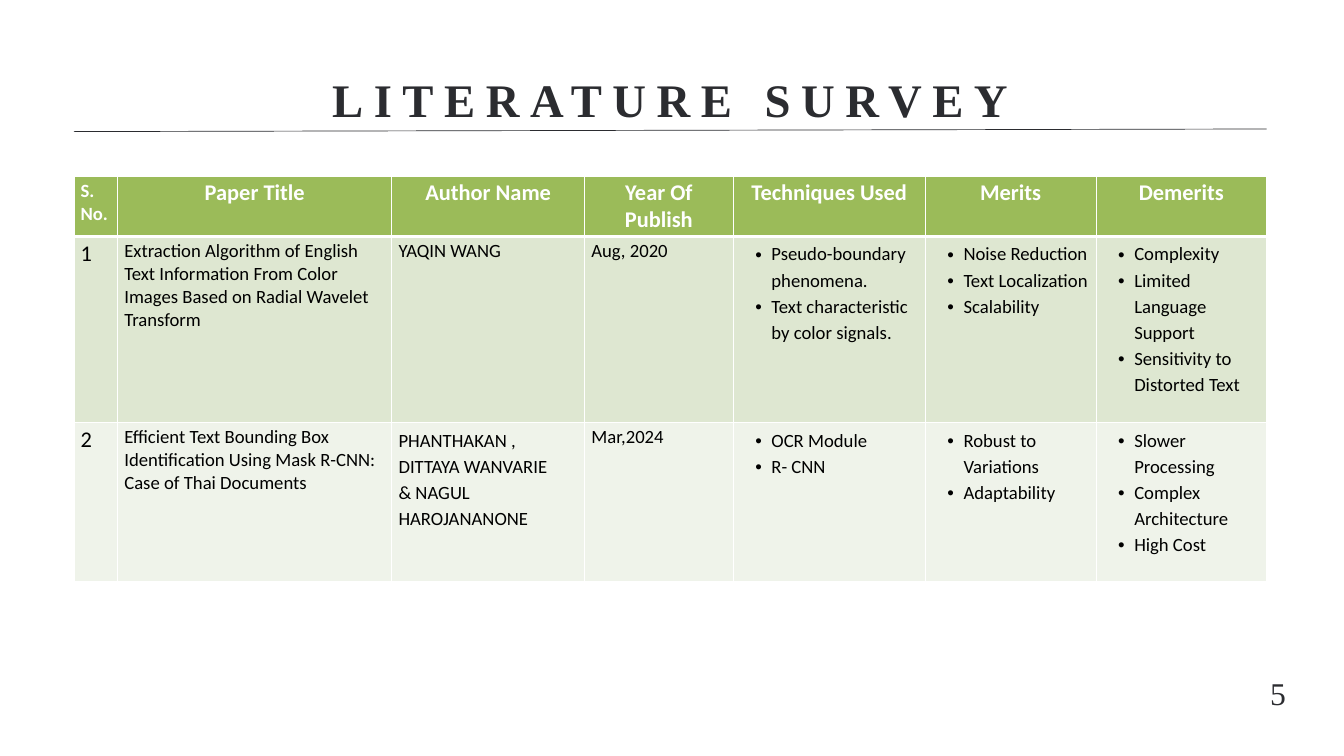
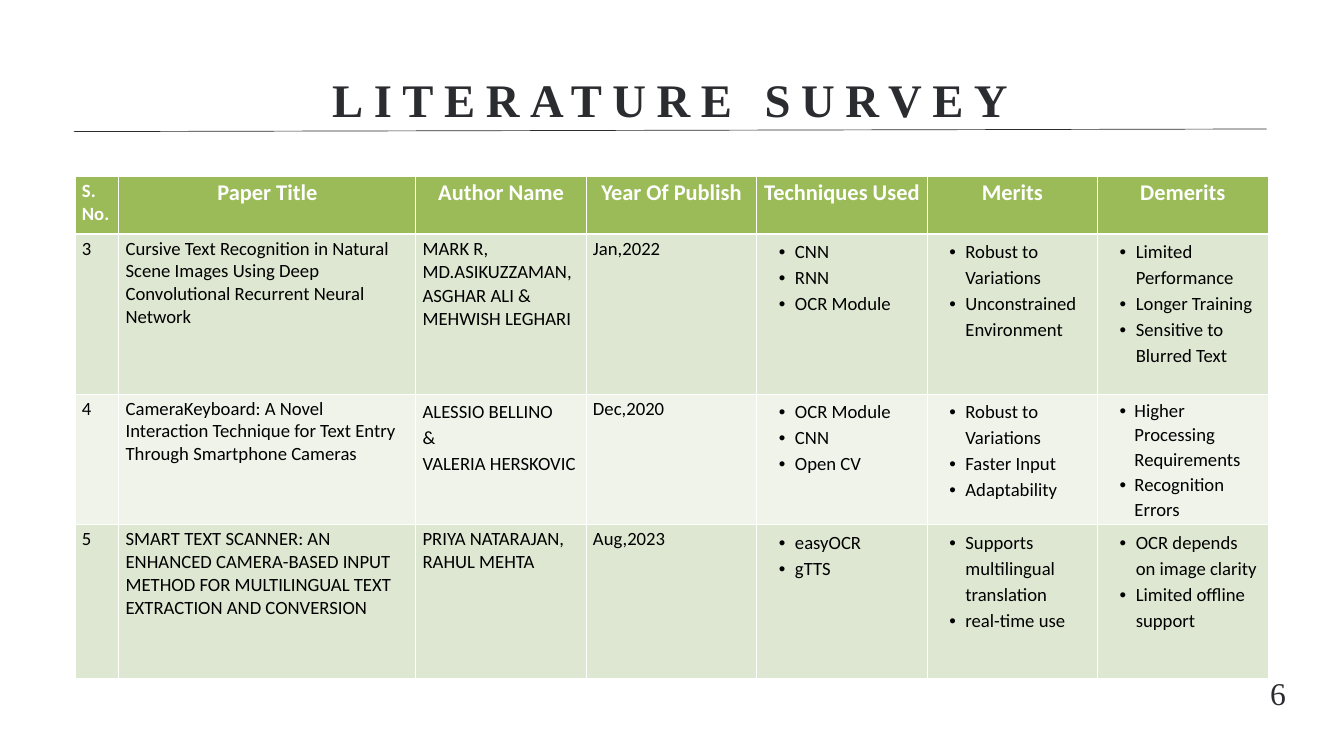
"""Build the two literature survey slides."""
from dataclasses import dataclass
from typing import Any

import lxml.etree
import pptx
import pptx.dml.color
import pptx.enum.shapes
import pptx.enum.text
import pptx.oxml.ns
import pptx.util

Pt = pptx.util.Pt
RGBColor = pptx.dml.color.RGBColor
ALIGN = pptx.enum.text.PP_ALIGN
qn = pptx.oxml.ns.qn

INK = RGBColor(0x2B, 0x2C, 0x30)
BLACK = RGBColor(0x00, 0x00, 0x00)
WHITE = RGBColor(0xFF, 0xFF, 0xFF)
GREEN = RGBColor(0x9B, 0xBB, 0x59)
BANDS = (RGBColor(0xDE, 0xE7, 0xD1), RGBColor(0xEF, 0xF3, 0xEA))
SERIF = "Times New Roman"
SANS = "Calibri"
HEADS = ("S.\nNo.", "Paper Title", "Author Name", "Year Of Publish",
         "Techniques Used", "Merits", "Demerits")
LEFT, WIDTH = 79.2, 1278


@dataclass(frozen=True)
class Paper:
    """One row of the survey, with a line for each paragraph."""

    title: str
    author: str
    year: str
    tools: str
    merits: str
    faults: str
    height: float
    lead: float | None = None
    tight: bool = False


@dataclass(frozen=True)
class Page:
    """One slide of the survey."""

    number: int
    first: int
    left: float
    widths: tuple[float, ...]
    head: float
    size: float
    papers: tuple[Paper, ...]


PAGES = (
    Page(5, 1, 79.2, (46.8, 293.8, 206.6, 159.1, 205.9, 182.9, 182.9), 64, 24, (
        Paper("Extraction Algorithm of English Text Information From Color "
              "Images Based on Radial Wavelet Transform",
              "YAQIN WANG", "Aug, 2020",
              "Pseudo-boundary phenomena.\nText characteristic by color signals.",
              "Noise Reduction\nText Localization\nScalability",
              "Complexity\nLimited Language Support\nSensitivity to Distorted Text",
              199.5),
        Paper("Efficient Text Bounding Box Identification Using Mask R-CNN: "
              "Case of Thai Documents",
              "PHANTHAKAN ,\nDITTAYA WANVARIE\n& NAGUL HAROJANANONE", "Mar,2024",
              "OCR Module\nR- CNN",
              "Robust to Variations\nAdaptability",
              "Slower Processing\nComplex Architecture\nHigh Cost",
              170.5, lead=28),
    )),
    Page(6, 3, 80.6, (46.8, 318.2) + (182.6,) * 5, 62, 20, (
        Paper("Cursive Text Recognition in Natural Scene Images Using Deep "
              "Convolutional Recurrent Neural Network",
              "MARK R,\nMD.ASIKUZZAMAN,\nASGHAR ALI &\nMEHWISH LEGHARI", "Jan,2022",
              "CNN\nRNN\nOCR Module",
              "Robust to Variations\nUnconstrained Environment",
              "Limited Performance\nLonger Training\nSensitive to Blurred Text",
              171.5, lead=25),
        Paper("CameraKeyboard: A Novel Interaction Technique for Text Entry "
              "Through Smartphone Cameras",
              "ALESSIO BELLINO\n&\nVALERIA HERSKOVIC", "Dec,2020",
              "OCR Module\nCNN\nOpen CV",
              "Robust to Variations\nFaster Input\nAdaptability",
              "Higher Processing Requirements\nRecognition Errors",
              139.5, lead=28, tight=True),
        Paper("SMART TEXT SCANNER: AN ENHANCED CAMERA-BASED INPUT\n"
              "METHOD FOR MULTILINGUAL TEXT EXTRACTION AND CONVERSION",
              "PRIYA NATARAJAN, RAHUL MEHTA", "Aug,2023",
              "easyOCR\ngTTS",
              "Supports multilingual translation\nreal-time use",
              "OCR depends on image clarity\nLimited offline support",
              165),
    )),
)


def write(frame: Any, text: str, *, size: float = 20, color: RGBColor = BLACK,
          font: str = SANS, bold: bool = False, align: Any = ALIGN.LEFT,
          lead: float | None = None, track: float = 0,
          bullet: tuple[float, float] | None = None) -> None:
    """Fill a text frame with one paragraph for each line of text."""
    for i, line in enumerate(text.split("\n")):
        para = frame.add_paragraph() if i else frame.paragraphs[0]
        para.alignment = align
        if lead:
            para.line_spacing = Pt(lead)
        if bullet:
            para.level = 1
            props = para._p.get_or_add_pPr()
            props.set("marL", str(Pt(bullet[0])))
            props.set("indent", str(Pt(-bullet[1])))
            lxml.etree.SubElement(props, qn("a:buFont"), typeface="Arial")
            lxml.etree.SubElement(props, qn("a:buChar"), char="•")
        run = para.add_run()
        run.text = line
        run.font.size = Pt(size)
        run.font.name = font
        run.font.bold = bold
        run.font.color.rgb = color
        if track:
            run._r.get_or_add_rPr().set("spc", str(round(track * 100)))


def label(slide: Any, text: str, left: float, top: float, width: float,
          height: float, **style: Any) -> None:
    """Add a text box without margins."""
    frame = slide.shapes.add_textbox(Pt(left), Pt(top), Pt(width), Pt(height)).text_frame
    frame.margin_left = frame.margin_right = frame.margin_top = frame.margin_bottom = 0
    frame.word_wrap = True
    frame.auto_size = pptx.enum.text.MSO_AUTO_SIZE.SHAPE_TO_FIT_TEXT
    write(frame, text, color=INK, font=SERIF, **style)


def paint(cell: Any, fill: RGBColor, top: float, base: float) -> None:
    """Give a cell white borders and a solid fill."""
    props = cell._tc.get_or_add_tcPr()
    for side, width in (("L", 1), ("R", 1), ("T", top), ("B", base)):
        line = lxml.etree.SubElement(props, qn(f"a:ln{side}"), w=str(Pt(width)))
        solid = lxml.etree.SubElement(line, qn("a:solidFill"))
        lxml.etree.SubElement(solid, qn("a:srgbClr"), val=str(WHITE))
    cell.fill.solid()
    cell.fill.fore_color.rgb = fill


def frame_page(slide: Any, number: int) -> None:
    """Add the rule, title and page number."""
    rule = slide.shapes.add_connector(
        pptx.enum.shapes.MSO_CONNECTOR.STRAIGHT,
        Pt(LEFT), Pt(141), Pt(LEFT + WIDTH), Pt(138.2))
    rule.line.color.rgb = INK
    rule.line.width = Pt(0.75)
    lxml.etree.SubElement(rule._element.spPr, qn("a:effectLst"))
    label(slide, "LITERATURE SURVEY", LEFT, 66.2, WIDTH, 75, size=50, bold=True,
          align=ALIGN.CENTER, lead=70, track=11.3)
    label(slide, str(number), 1360.8, 731.5, 18, 32, size=33.9, lead=30.8, track=0.2)


def add_survey(slide: Any, page: Page) -> None:
    """Add the table of papers."""
    highs = [page.head] + [paper.height for paper in page.papers]
    table = slide.shapes.add_table(
        len(highs), len(HEADS), Pt(page.left), Pt(188.6),
        Pt(sum(page.widths)), Pt(sum(highs))).table
    table.first_row = table.horz_banding = False
    for col, width in zip(table.columns, page.widths):
        col.width = Pt(width)
    for row, height in zip(table.rows, highs):
        row.height = Pt(height)
    for i, head in enumerate(HEADS):
        cell = table.cell(0, i)
        paint(cell, GREEN, 1, 3)
        write(cell.text_frame, head, color=WHITE, bold=True, size=24 if i else 20,
              align=ALIGN.CENTER if i else ALIGN.LEFT)
    points = {"lead": 28, "bullet": (33.84, 17.28)}
    close = {"lead": 26.6, "bullet": (32.4, 15.84)}
    for i, paper in enumerate(page.papers):
        items = (
            (str(page.first + i), {"size": page.size}),
            (paper.title, {}),
            (paper.author, {"lead": paper.lead}),
            (paper.year, {}),
            (paper.tools, points),
            (paper.merits, points),
            (paper.faults, close if paper.tight else points),
        )
        for j, (text, style) in enumerate(items):
            cell = table.cell(i + 1, j)
            paint(cell, BANDS[i % 2], 1 if i else 3, 1)
            write(cell.text_frame, text, **style)


def main() -> None:
    """Build and save the deck."""
    deck = pptx.Presentation()
    deck.slide_width, deck.slide_height = Pt(1440), Pt(810)
    for page in PAGES:
        slide = deck.slides.add_slide(deck.slide_layouts[6])
        frame_page(slide, page.number)
        add_survey(slide, page)
    deck.save("out.pptx")


if __name__ == "__main__":
    main()
